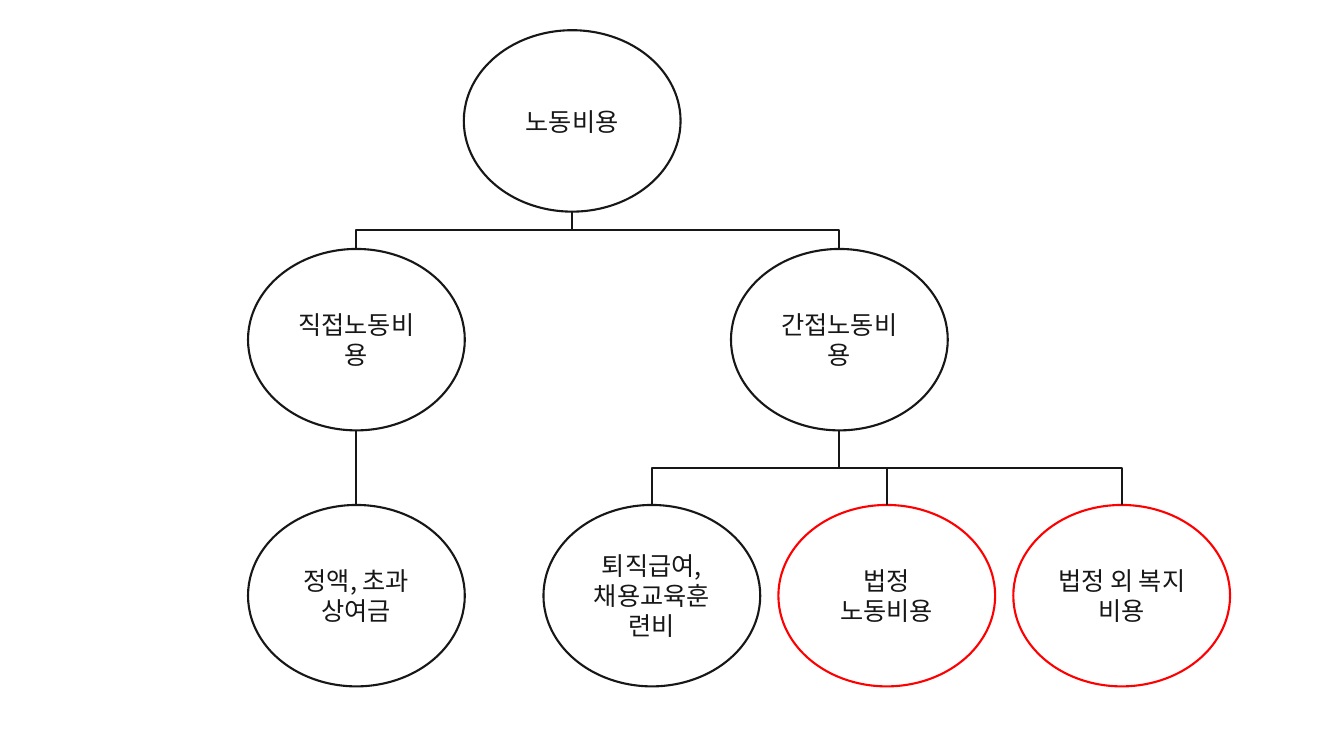
from lxml import etree
from pptx import Presentation
from pptx.dml.color import RGBColor
from pptx.enum.shapes import MSO_CONNECTOR, MSO_SHAPE
from pptx.enum.text import MSO_ANCHOR, PP_ALIGN
from pptx.oxml.ns import qn
from pptx.util import Inches, Pt

ELLIPSE = MSO_SHAPE.OVAL
ELBOW, STRAIGHT = MSO_CONNECTOR.ELBOW, MSO_CONNECTOR.STRAIGHT
MIDDLE, CENTER = MSO_ANCHOR.MIDDLE, PP_ALIGN.CENTER

NODE_WIDTH, NODE_HEIGHT = 2.15, 1.8
TOP_ROW, MIDDLE_ROW, BOTTOM_ROW = 0.3, 2.47, 5.01
INK, RED = "181717", "FF0000"

# label: (left, top, outline colour)
NODES = {
    "노동비용": (4.6, TOP_ROW, INK),
    "법정 외 복지 비용": (10.05, BOTTOM_ROW, RED),
    "법정 노동비용": (7.72, BOTTOM_ROW, RED),
    "간접노동비용": (7.25, MIDDLE_ROW, INK),
    "직접노동비용": (2.46, MIDDLE_ROW, INK),
    "정액, 초과 상여금": (2.46, BOTTOM_ROW, INK),
    "퇴직급여, 채용교육훈련비": (5.39, BOTTOM_ROW, INK),
}
CHILDREN = {
    "노동비용": ["직접노동비용", "간접노동비용"],
    "직접노동비용": ["정액, 초과 상여금"],
    "간접노동비용": ["퇴직급여, 채용교육훈련비", "법정 노동비용", "법정 외 복지 비용"],
}


def color(value):
    return RGBColor.from_string(value)


class TreePage:
    """Draws the nodes and branches of a tree on one slide."""

    font_name = "Noto Sans CJK KR"
    font_size = Pt(18)
    line_width = Pt(1.5)

    def __init__(self, page):
        self.page = page

    def node(self, label, left, top, outline):
        box = self.page.shapes.add_shape(
            ELLIPSE, Inches(left), Inches(top), Inches(NODE_WIDTH), Inches(NODE_HEIGHT))
        box.shadow.inherit = False
        box.fill.background()
        box.line.color.rgb = color(outline)
        box.line.width = self.line_width
        frame = box.text_frame
        frame.word_wrap = True
        frame.vertical_anchor = MIDDLE
        para = frame.paragraphs[0]
        para.text = label
        para.alignment = CENTER
        font = para.font
        font.size = self.font_size
        font.color.rgb = color(INK)
        font.name = self.font_name
        latin = para._p.pPr.find(".//" + qn("a:latin"))
        east_asian = etree.Element(qn("a:ea"), typeface=self.font_name)
        latin.addnext(east_asian)

    def branch(self, parent, child):
        """Joins the bottom of the parent to the top of the child."""
        start_x, start_y = parent[0] + NODE_WIDTH / 2, parent[1] + NODE_HEIGHT
        end_x, end_y = child[0] + NODE_WIDTH / 2, child[1]
        if start_x == end_x:
            line = self.connector(STRAIGHT, start_x, start_y, end_x, end_y)
        else:
            # A preset elbow leaves sideways, so it is laid out turned by a quarter.
            middle_x, middle_y = (start_x + end_x) / 2, (start_y + end_y) / 2
            side = 1 if end_x > start_x else -1
            half_width = side * (end_y - start_y) / 2
            half_height = abs(end_x - start_x) / 2
            line = self.connector(
                ELBOW, middle_x + half_width, middle_y - half_height,
                middle_x - half_width, middle_y + half_height)
            line._element.spPr.xfrm.rot = 270 if side > 0 else 90
        line.line.color.rgb = color(INK)
        line.line.width = self.line_width
        etree.SubElement(line._element.spPr, qn("a:effectLst"))

    def connector(self, kind, *ends):
        return self.page.shapes.add_connector(kind, *(Inches(end) for end in ends))


def main():
    deck = Presentation()
    deck.slide_width, deck.slide_height = Inches(13.33), Inches(7.5)
    tree = TreePage(deck.slides.add_slide(deck.slide_layouts[6]))
    for label, (left, top, outline) in NODES.items():
        tree.node(label, left, top, outline)
    for parent, children in CHILDREN.items():
        for child in children:
            tree.branch(NODES[parent], NODES[child])
    deck.save("out.pptx")


if __name__ == "__main__":
    main()
